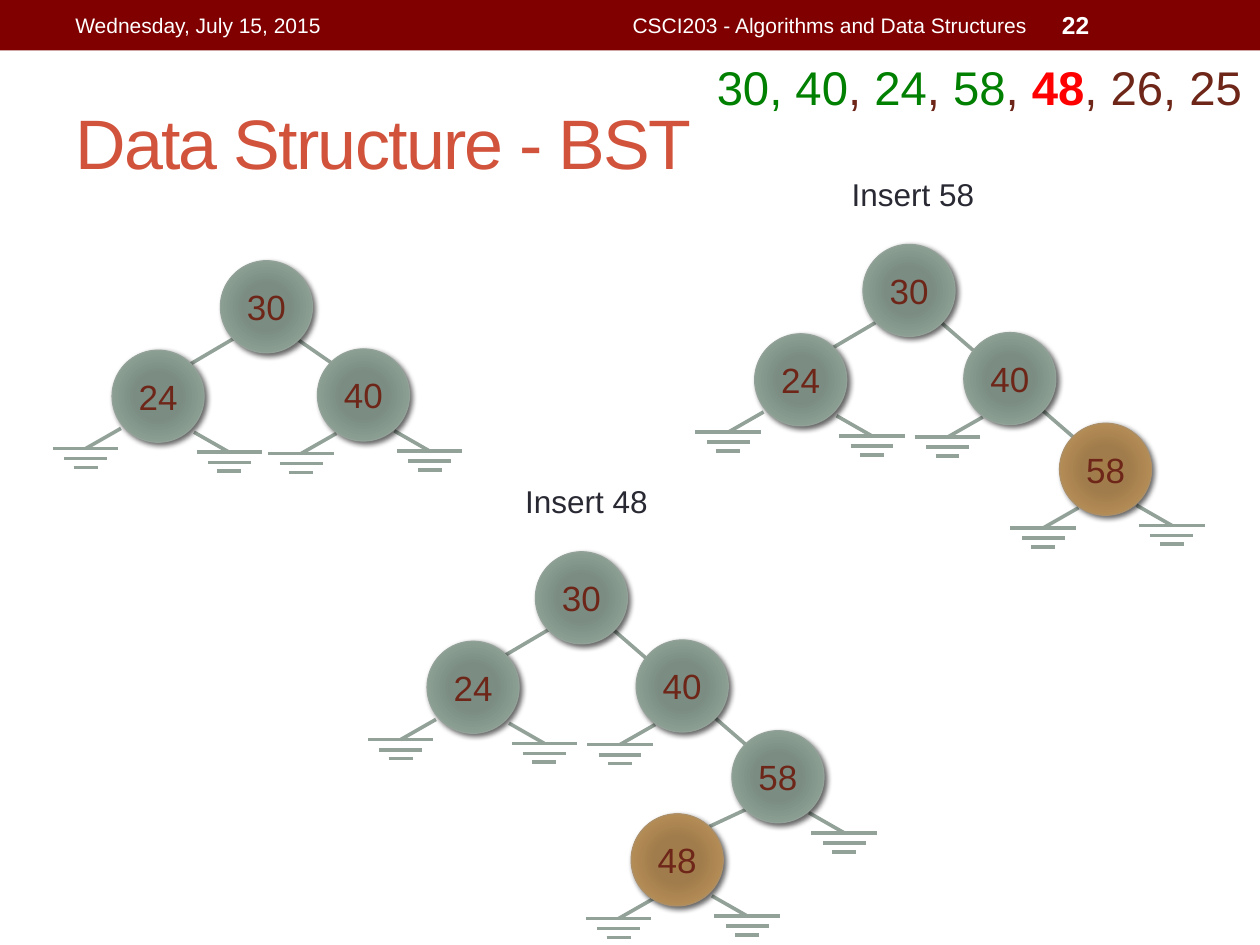
from lxml import etree
from pptx import Presentation
from pptx.dml.color import RGBColor
from pptx.enum.shapes import MSO_CONNECTOR, MSO_SHAPE
from pptx.enum.text import MSO_ANCHOR, PP_ALIGN
from pptx.oxml import parse_xml
from pptx.oxml.ns import nsdecls, qn
from pptx.util import Inches, Pt

COLORS = {
    "band": "800000", "white": "FFFFFF", "title": "D2533C", "caption": "292934",
    "label": "6E2619", "done": "008000", "current": "FF0000",
    "sage": "93A299", "gold": "AD8F67",
}
GRADIENTS = {
    "sage": ["7B8E82", "7B8D83", "8A9E92", "93A299"],
    "gold": ["A37D49", "A07C4C", "B38B55", "AD8F67"],
}
STOPS = [0, 34, 70, 100]
NODE = 0.73
# Where the left and right empty links leave a node, from its top left corner
LINK_STARTS = {
    24: {"left": (0.07, 0.62), "right": (0.65, 0.65)},
    40: {"left": (0.15, 0.67), "right": (0.61, 0.65)},
    58: {"left": (0.15, 0.67), "right": (0.61, 0.65)},
    48: {"left": (0.18, 0.67), "right": (0.64, 0.65)},
}
GROUND_BARS = [(0.52, 0), (0.34, 0.08), (0.19, 0.15)]  # width, drop
BOTH = ["left", "right"]

# Nodes: value, offset from the root, colour, empty sides. Edges: offsets.
ROOT = (30, 0, 0, "sage", [])
LEFT_CHILD = (24, -0.86, 0.71, "sage", BOTH)
RIGHT_CHILD = (40, 0.8, 0.7, "sage", ["left"])
LEFT_EDGE = (0.1, 0.62, -0.24, 0.82)
LONG_EDGE = (0.62, 0.62, 1.67, 1.53)
TREES = [
    {"at": (1.75, 2.07),
     "nodes": [ROOT, LEFT_CHILD, (40, 0.77, 0.7, "sage", BOTH)],
     "edges": [LEFT_EDGE, (0.62, 0.63, 0.88, 0.81)]},
    {"at": (6.85, 1.94),
     "nodes": [ROOT, LEFT_CHILD, RIGHT_CHILD, (58, 1.56, 1.42, "gold", BOTH)],
     "edges": [LEFT_EDGE, LONG_EDGE]},
    {"at": (4.25, 4.38),
     "nodes": [ROOT, LEFT_CHILD, RIGHT_CHILD, (58, 1.56, 1.42, "sage", ["right"]),
               (48, 0.76, 2.08, "gold", BOTH)],
     "edges": [LEFT_EDGE, LONG_EDGE, (1.68, 2.04, 1.38, 2.18)]},
]


def add_text(at, text, size, color, align=PP_ALIGN.LEFT, anchor=MSO_ANCHOR.MIDDLE):
    box = page.shapes.add_textbox(*map(Inches, at))
    box.text_frame.word_wrap = True
    box.text_frame.vertical_anchor = anchor
    para = box.text_frame.paragraphs[0]
    para.text = text
    para.alignment = align
    para.font.name = "Arial"
    para.font.size = Pt(size)
    para.font.color.rgb = RGBColor.from_string(COLORS[color])
    return para


def add_line(group, x1, y1, x2, y2):
    line = group.shapes.add_connector(
        MSO_CONNECTOR.STRAIGHT, *map(Inches, (x1, y1, x2, y2)))
    line.line.color.rgb = RGBColor.from_string(COLORS["sage"])
    line.line.width = Pt(2.08)
    etree.SubElement(line._element.spPr, qn("a:effectLst"))


deck = Presentation()
deck.slide_width, deck.slide_height = Inches(10), Inches(7.5)
page = deck.slides.add_slide(deck.slide_layouts[6])

# Header band and title
band = page.shapes.add_shape(MSO_SHAPE.RECTANGLE, 0, 0, Inches(10), Inches(0.4))
band.shadow.inherit = False
band.fill.solid()
band.fill.fore_color.rgb = RGBColor.from_string(COLORS["band"])
band.line.fill.background()

title = add_text((0.5, 0.58, 9, 1.08), "Data Structure - BST", 40, "title")
title.runs[0].font._element.set("spc", "-100")
add_text((0.5, 0.02, 3.17, 0.36), "Wednesday, July 15, 2015", 12, "white")
add_text((3.75, 0.02, 4.5, 0.36), "CSCI203 - Algorithms and Data Structures", 12,
         "white", PP_ALIGN.RIGHT)
add_text((8.33, 0.02, 1.17, 0.36), "22", 14, "white").font.bold = True

# Trees
for tree in TREES:
    group = page.shapes.add_group_shape()
    root_x, root_y = tree["at"]
    for x1, y1, x2, y2 in tree["edges"]:
        add_line(group, root_x + x1, root_y + y1, root_x + x2, root_y + y2)

    for value, dx, dy, color, empty_sides in tree["nodes"]:
        left, top = root_x + dx, root_y + dy
        for side in empty_sides:
            start_x, start_y = LINK_STARTS[value][side]
            x, y = left + start_x, top + start_y
            ground_x = x + (0.28 if side == "right" else -0.28)
            ground_y = y + 0.16
            add_line(group, x, y, ground_x, ground_y)
            for width, drop in GROUND_BARS:
                add_line(group, ground_x - width / 2, ground_y + drop,
                         ground_x + width / 2, ground_y + drop)

        node = group.shapes.add_shape(
            MSO_SHAPE.OVAL, *map(Inches, (left, top, NODE, NODE)))
        node.line.color.rgb = RGBColor.from_string(COLORS[color])
        node.line.width = Pt(0.75)
        stops = "".join(
            f'<a:gs pos="{pos * 1000}"><a:srgbClr val="{shade}"/></a:gs>'
            for pos, shade in zip(STOPS, GRADIENTS[color]))
        props = node._element.spPr
        props.find(qn("a:prstGeom")).addnext(parse_xml(
            f'<a:gradFill {nsdecls("a")} rotWithShape="1"><a:gsLst>{stops}</a:gsLst>'
            '<a:path path="circle"><a:fillToRect l="100000" t="100000" '
            'r="100000" b="100000"/></a:path></a:gradFill>'))
        props.append(parse_xml(
            f'<a:effectLst {nsdecls("a")}><a:outerShdw blurRad="{Pt(3)}" '
            f'dist="{Pt(2)}" dir="2700000" rotWithShape="0"><a:srgbClr val="000000">'
            '<a:alpha val="60000"/></a:srgbClr></a:outerShdw></a:effectLst>'))
        frame = node.text_frame
        frame.word_wrap = False
        frame.vertical_anchor = MSO_ANCHOR.MIDDLE
        para = frame.paragraphs[0]
        para.text = str(value)
        para.alignment = PP_ALIGN.CENTER
        para.font.name = "Arial"
        para.font.size = Pt(20)
        para.font.color.rgb = RGBColor.from_string(COLORS["label"])

for left, top, caption in [(6.12, 1.34, "Insert 58"), (3.53, 3.78, "Insert 48")]:
    add_text((left, top, 2.25, 0.4), caption, 18, "caption",
             PP_ALIGN.CENTER, MSO_ANCHOR.TOP)

# Input sequence
sequence = page.shapes.add_shape(
    MSO_SHAPE.RECTANGLE, *map(Inches, (5.59, 0.41, 4.41, 0.57)))
sequence.shadow.inherit = False
sequence.fill.solid()
sequence.fill.fore_color.rgb = RGBColor.from_string(COLORS["white"])
sequence.line.fill.background()
sequence.text_frame.word_wrap = True
sequence.text_frame.vertical_anchor = MSO_ANCHOR.TOP
para = sequence.text_frame.paragraphs[0]
para.alignment = PP_ALIGN.LEFT
para.font.name = "Arial"
para.font.size = Pt(27)
for text, color in [("30, 40", "done"), (", ", "label"), ("24", "done"),
                    (", ", "label"), ("58", "done"), (", ", "label"),
                    ("48", "current"), (", 26, 25", "label")]:
    span = para.add_run()
    span.text = text
    span.font.bold = color == "current"
    span.font.color.rgb = RGBColor.from_string(COLORS[color])

deck.save("out.pptx")
